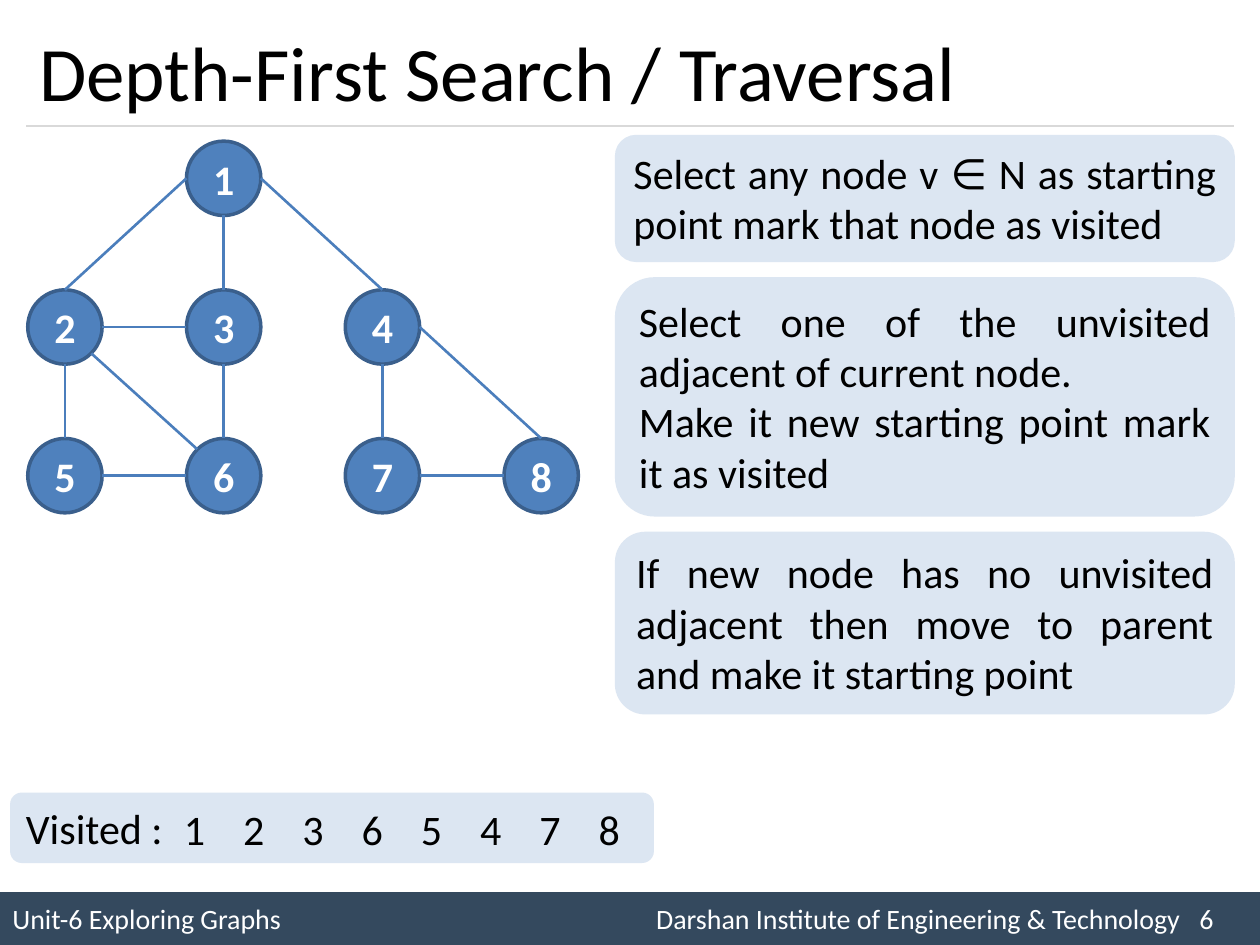
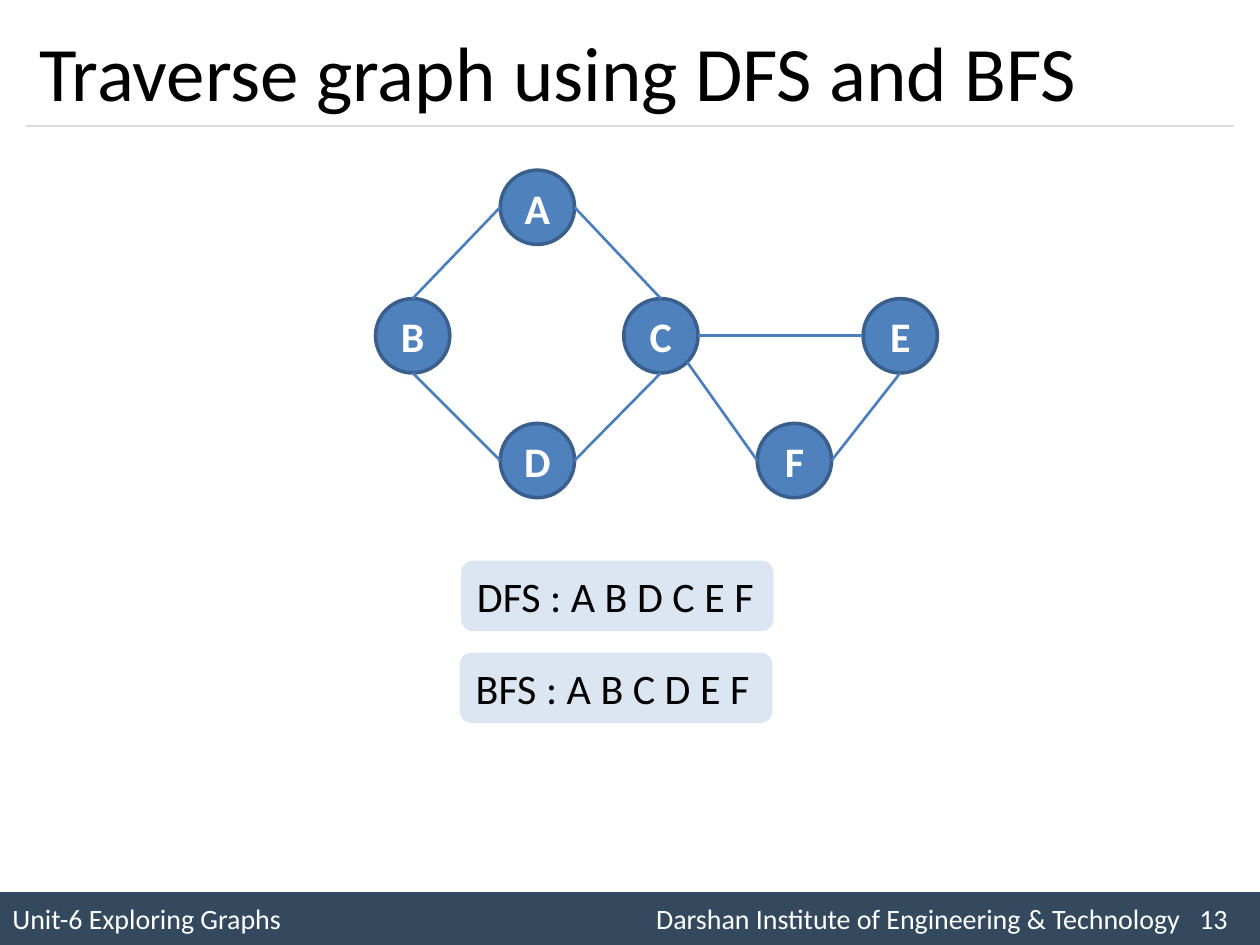
from dataclasses import dataclass

from lxml import etree
from pptx import Presentation
from pptx import util as u
from pptx.dml import color
from pptx.enum import shapes, text
from pptx.oxml import ns


@dataclass(frozen=True)
class Theme:
    font: str = "Calibri"
    ink: str = "000000"
    white: str = "FFFFFF"
    band: str = "34495E"
    rule: str = "D9D9D9"
    node: str = "4F81BD"
    node_border: str = "3A5F8C"
    edge: str = "4B7EBC"
    panel: str = "DCE6F2"
    title_size: int = 44
    body_size: int = 24
    footer_size: int = 16


THEME = Theme()
NODE_SIZE = 0.59
DIAGONAL = 0.71
SITES = {
    "top": (0, -1),
    "bottom": (0, 1),
    "left": (-1, 0),
    "right": (1, 0),
    "top_left": (-DIAGONAL, -DIAGONAL),
    "bottom_right": (DIAGONAL, DIAGONAL),
}

COLUMNS = [0.22 + 1.26 * column for column in range(4)]
ROWS = [1.12 + 1.18 * row for row in range(3)]
TREE_NODES = {
    "1": (COLUMNS[1], ROWS[0]),
    "2": (COLUMNS[0], ROWS[1]),
    "3": (COLUMNS[1], ROWS[1]),
    "4": (COLUMNS[2], ROWS[1]),
    "5": (COLUMNS[0], ROWS[2]),
    "6": (COLUMNS[1], ROWS[2]),
    "7": (COLUMNS[2], ROWS[2]),
    "8": (COLUMNS[3], ROWS[2]),
}
TREE_EDGES = [
    ("1", "bottom", "3", "top"),
    ("1", "left", "2", "top"),
    ("1", "right", "4", "top"),
    ("3", "bottom", "6", "top"),
    ("2", "bottom", "5", "top"),
    ("2", "bottom_right", "6", "top_left"),
    ("2", "right", "3", "left"),
    ("5", "right", "6", "left"),
    ("7", "right", "8", "left"),
    ("4", "bottom", "7", "top"),
    ("4", "right", "8", "top"),
]
LETTER_NODES = {
    "A": (3.97, 1.35),
    "B": (2.98, 2.37),
    "C": (4.95, 2.37),
    "D": (3.97, 3.36),
    "E": (6.85, 2.37),
    "F": (6.01, 3.36),
}
LETTER_EDGES = [
    ("A", "left", "B", "top"),
    ("B", "bottom", "D", "left"),
    ("D", "right", "C", "bottom"),
    ("A", "right", "C", "top"),
    ("C", "bottom_right", "F", "left"),
    ("F", "right", "E", "bottom"),
    ("C", "right", "E", "left"),
]
STEPS = [
    (1.07, 1.01, ["Select any node v ∈ N as starting point mark that node as visited"]),
    (2.2, 1.9, ["Select one of the unvisited adjacent of current node.",
                "Make it new starting point mark it as visited"]),
    (4.22, 1.45, ["If new node has no unvisited adjacent then move to parent "
                  "and make it starting point"]),
]


def rgb(value):
    return color.RGBColor.from_string(value)


def apply_format(target, **values):
    for name, value in values.items():
        setattr(target, name, value)


def write(frame, lines, size, ink, align=text.PP_ALIGN.LEFT, bold=False):
    for index, line in enumerate(lines):
        paragraph = frame.paragraphs[0] if index == 0 else frame.add_paragraph()
        paragraph.alignment = align
        run = paragraph.add_run()
        run.text = line
        apply_format(run.font, name=THEME.font, size=u.Pt(size), bold=bold)
        run.font.color.rgb = rgb(ink)


def add_box(slide, kind, bounds, fill):
    shape = slide.shapes.add_shape(kind, *map(u.Inches, bounds))
    shape.shadow.inherit = False
    shape.fill.solid()
    shape.fill.fore_color.rgb = rgb(fill)
    shape.line.fill.background()
    return shape


def add_line(slide, start, end, line_color, width):
    line = slide.shapes.add_connector(
        shapes.MSO_CONNECTOR.STRAIGHT, *map(u.Inches, (*start, *end)))
    line.line.color.rgb = rgb(line_color)
    line.line.width = u.Pt(width)
    etree.SubElement(line._element.spPr, ns.qn("a:effectLst"))


def add_panel(slide, bounds, lines, kind=shapes.MSO_SHAPE.ROUNDED_RECTANGLE,
              align=text.PP_ALIGN.JUSTIFY):
    panel = add_box(slide, kind, bounds, THEME.panel)
    apply_format(panel.text_frame, vertical_anchor=text.MSO_ANCHOR.TOP,
                 auto_size=text.MSO_AUTO_SIZE.SHAPE_TO_FIT_TEXT)
    write(panel.text_frame, lines, THEME.body_size, THEME.ink, align)


def add_node(slide, label, position):
    node = add_box(slide, shapes.MSO_SHAPE.OVAL,
                   (*position, NODE_SIZE, NODE_SIZE), THEME.node)
    node.line.color.rgb = rgb(THEME.node_border)
    node.line.width = u.Pt(2)
    write(node.text_frame, [label], THEME.body_size, THEME.white,
          text.PP_ALIGN.CENTER, True)


def site_point(position, site):
    radius = NODE_SIZE / 2
    return [start + radius * (1 + offset)
            for start, offset in zip(position, SITES[site])]


def add_graph(slide, nodes, edges):
    for label, position in nodes.items():
        add_node(slide, label, position)
    for source, source_site, target, target_site in edges:
        add_line(slide, site_point(nodes[source], source_site),
                 site_point(nodes[target], target_site), THEME.edge, 1.5)


def add_footer(slide, number):
    band = add_box(slide, shapes.MSO_SHAPE.RECTANGLE, (0, 7.08, 10, 0.42), THEME.band)
    properties = band.text_frame.paragraphs[0]._p.get_or_add_pPr()
    tabs = etree.SubElement(properties, ns.qn("a:tabLst"))
    for position in (5.11, 9.42):
        etree.SubElement(tabs, ns.qn("a:tab"), pos=str(u.Inches(position)), algn="l")
    footer = f"Unit-6 Exploring Graphs\tDarshan Institute of Engineering & Technology\t{number}"
    write(band.text_frame, [footer], THEME.footer_size, THEME.white)


def add_slide(presentation, heading, number):
    slide = presentation.slides.add_slide(presentation.slide_layouts[5])
    title = slide.shapes.title
    apply_format(title, left=u.Inches(0.21), top=u.Inches(0.12),
                 width=u.Inches(9.58), height=u.Inches(0.88))
    apply_format(title.text_frame, vertical_anchor=text.MSO_ANCHOR.MIDDLE,
                 auto_size=text.MSO_AUTO_SIZE.NONE, word_wrap=True)
    write(title.text_frame, [heading], THEME.title_size, THEME.ink)
    add_footer(slide, number)
    add_line(slide, (0.21, 1), (9.79, 1), THEME.rule, 0.75)
    return slide


def add_visited(slide, order):
    add_panel(slide, (0.08, 6.29, 5.11, 0.56), ["Visited :"])
    size = 0.47
    for index, label in enumerate(order):
        add_panel(slide, (1.31 + size * index, 6.33, size, size), [label],
                  shapes.MSO_SHAPE.RECTANGLE, text.PP_ALIGN.CENTER)


def main():
    presentation = Presentation()
    presentation.slide_width = u.Inches(10)
    presentation.slide_height = u.Inches(7.5)

    search = add_slide(presentation, "Depth-First Search / Traversal", 6)
    add_graph(search, TREE_NODES, TREE_EDGES)
    for top, height, lines in STEPS:
        add_panel(search, (4.88, top, 4.92, height), lines)
    add_visited(search, "12365478")

    traversal = add_slide(presentation, "Traverse graph using DFS and BFS", 13)
    add_graph(traversal, LETTER_NODES, LETTER_EDGES)
    add_panel(traversal, (3.66, 4.45, 2.48, 0.56), ["DFS : A B D C E F"])
    add_panel(traversal, (3.65, 5.18, 2.48, 0.56), ["BFS : A B C D E F"])

    presentation.save("out.pptx")


if __name__ == "__main__":
    main()
